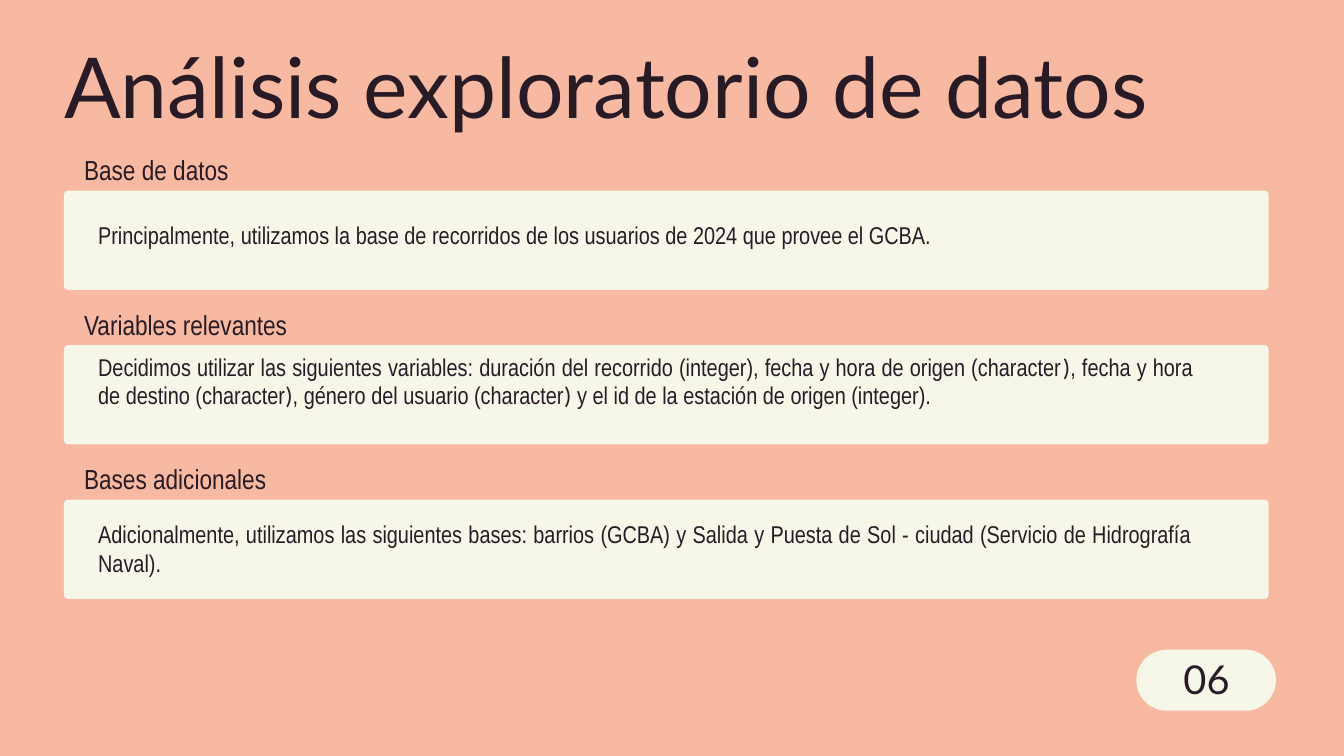
from dataclasses import dataclass

from pptx import Presentation
from pptx.dml.color import RGBColor
from pptx.enum.shapes import MSO_SHAPE as Shape
from pptx.enum.text import MSO_ANCHOR as Anchor, MSO_AUTO_SIZE as AutoSize, PP_ALIGN as Align
from pptx.util import Cm, Pt


@dataclass(frozen=True)
class Theme:
    back: str = "F7B9A1"
    card: str = "F6F6E9"
    ink: str = "291B25"
    display: str = "Lato"
    body: str = "Arial Narrow"
    bracket: str = "Calibri"
    title_size: float = 90
    number_size: float = 42.6
    heading_size: float = 29.5
    body_size: float = 26


class Painter:
    """Draws the elements of one slide in one theme."""

    def __init__(self, page, theme):
        self.page = page
        self.theme = theme
        page.background.fill.solid()
        page.background.fill.fore_color.rgb = RGBColor.from_string(theme.back)

    def fill_text(self, box, spans, name, size, leading, align=Align.LEFT, anchor=Anchor.TOP):
        frame = box.text_frame
        frame.word_wrap = True
        frame.auto_size = AutoSize.NONE
        frame.vertical_anchor = anchor
        frame.margin_left = frame.margin_top = frame.margin_right = frame.margin_bottom = 0
        para = frame.paragraphs[0]
        para.alignment = align
        para.line_spacing = Pt(leading)
        para.font.size = Pt(size)
        para.font.color.rgb = RGBColor.from_string(self.theme.ink)
        if len(spans) == 1:
            para.font.name = name
        for index, text in enumerate(spans):
            span = para.add_run()
            span.text = text
            if len(spans) > 1:
                span.font.name = self.theme.bracket if index % 2 else name

    def title(self, text, left, top, width, height):
        box = self.page.shapes.title
        box.left, box.top, box.width, box.height = Cm(left), Cm(top), Cm(width), Cm(height)
        self.fill_text(box, [text], self.theme.display, self.theme.title_size, 108)

    def text(self, spans, left, top, width, height, *style, **options):
        box = self.page.shapes.add_textbox(Cm(left), Cm(top), Cm(width), Cm(height))
        self.fill_text(box, spans, *style, **options)

    def panel(self, left, top, width, height, rounding):
        box = self.page.shapes.add_shape(
            Shape.ROUNDED_RECTANGLE, Cm(left), Cm(top), Cm(width), Cm(height))
        box.adjustments[0] = rounding
        box.shadow.inherit = False
        box.fill.solid()
        box.fill.fore_color.rgb = RGBColor.from_string(self.theme.card)
        box.line.fill.background()

    def section(self, top, heading, spans, inset, height):
        theme = self.theme
        self.panel(2.42, top, 45.53, 3.75, 0.04)
        self.text([heading], 3.18, top - 1.54, 20, 1.32, theme.body, theme.heading_size, 38.8)
        self.text(spans, 3.71, top + inset, 41.38, height, theme.body, theme.body_size, 30.3,
                  align=Align.JUSTIFY)

    def page_number(self, text):
        theme = self.theme
        self.panel(42.95, 24.56, 5.28, 2.31, 0.5)
        self.text([text], 43.74, 24.92, 3.73, 1.65, theme.display, theme.number_size, 45.5,
                  align=Align.CENTER, anchor=Anchor.MIDDLE)


SECTIONS = [
    ("Base de datos",
     ["Principalmente, utilizamos la base de recorridos de los usuarios de 2024 que provee el GCBA."],
     1.14, 1.07),
    ("Variables relevantes",
     ["Decidimos utilizar las siguientes variables: duración del recorrido (integer), "
      "fecha y hora de origen (character", ")",
      ", fecha y hora de destino (character", ")",
      ", género del usuario (character", ")",
      " y el id de la estación de origen (integer)."],
     0.28, 3.2),
    ("Bases adicionales",
     ["Adicionalmente, utilizamos las siguientes bases: barrios (GCBA) y Salida y Puesta de Sol "
      "- ciudad (Servicio de Hidrografía Naval)."],
     0.79, 2.13),
]


def main():
    deck = Presentation()
    deck.slide_width, deck.slide_height = Cm(50.8), Cm(28.58)
    page = deck.slides.add_slide(deck.slide_layouts[5])
    painter = Painter(page, Theme())
    painter.title("Análisis exploratorio de datos", 2.42, 1.3, 45.82, 3.84)
    for index, (heading, spans, inset, height) in enumerate(SECTIONS):
        painter.section(7.21 + 5.84 * index, heading, spans, inset, height)
    painter.page_number("06")
    deck.save("out.pptx")


if __name__ == "__main__":
    main()
